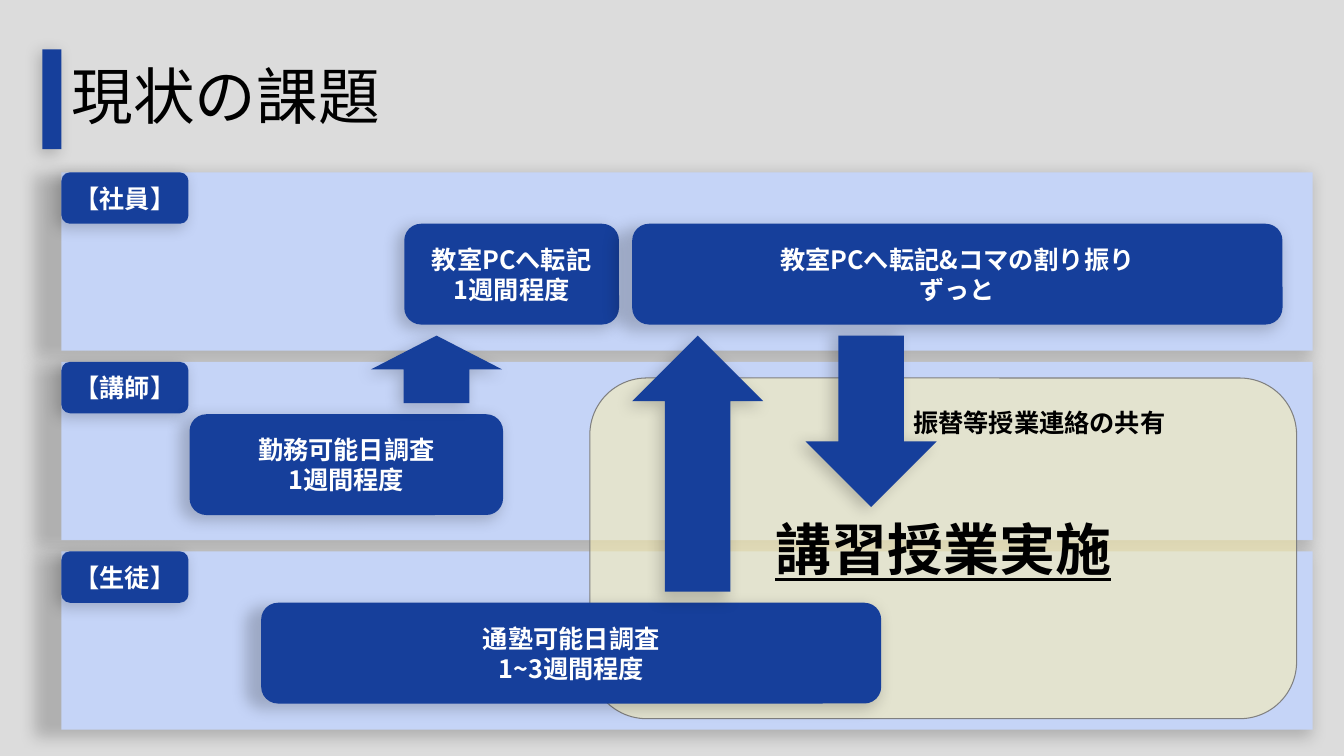
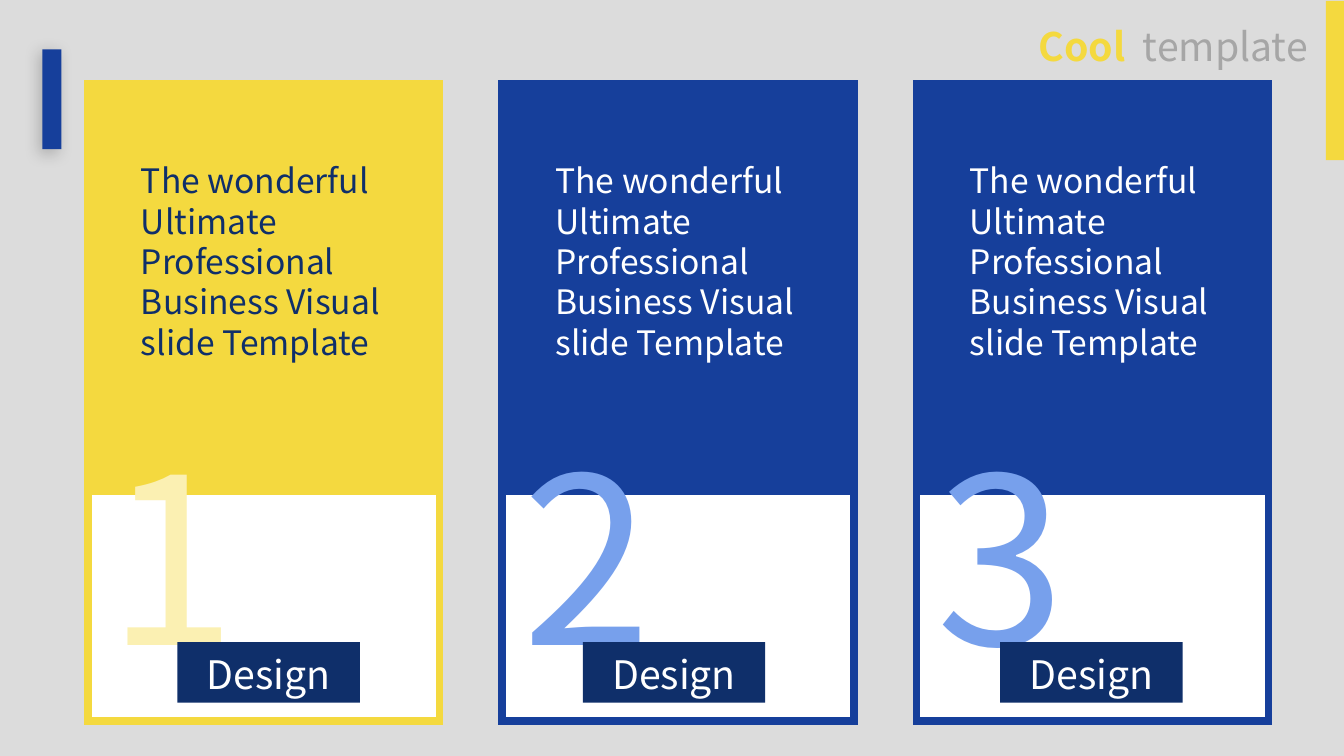
from dataclasses import dataclass

from lxml import etree
from pptx import Presentation
from pptx.dml.color import RGBColor
from pptx.enum.shapes import MSO_SHAPE
from pptx.enum.text import MSO_ANCHOR, MSO_AUTO_SIZE, PP_ALIGN
from pptx.oxml.ns import qn
from pptx.util import Inches, Pt

RECTANGLE = MSO_SHAPE.RECTANGLE
ROUNDED = MSO_SHAPE.ROUNDED_RECTANGLE
UP_ARROW = MSO_SHAPE.UP_ARROW
TOP, MIDDLE = MSO_ANCHOR.TOP, MSO_ANCHOR.MIDDLE
FIXED, GROW = MSO_AUTO_SIZE.NONE, MSO_AUTO_SIZE.SHAPE_TO_FIT_TEXT
LEFT, CENTER, RIGHT = PP_ALIGN.LEFT, PP_ALIGN.CENTER, PP_ALIGN.RIGHT
TITLE_ONLY, BLANK = 5, 6


@dataclass(frozen=True)
class Theme:
    font: str = "Noto Sans CJK JP"
    background: str = "DCDCDC"
    blue: str = "163F9B"
    navy: str = "0F2F6A"
    light_blue: str = "77A0EC"
    lane: str = "C5D4F7"
    yellow: str = "F4D93F"
    cream: str = "FBF0B2"
    white: str = "FFFFFF"
    black: str = "000000"
    outline: str = "808080"
    gray: str = "A6A6A6"
    title_size: int = 44
    headline_size: int = 40
    label_size: int = 18
    body_size: int = 24
    caption_size: int = 28
    number_size: int = 166


THEME = Theme()

LANE_LEFT, LANE_TOP, LANE_PITCH = 0.61, 1.71, 1.88
LANES = ["【社員】", "【講師】", "【生徒】"]
STEPS = [
    ((4.01, 2.22, 2.13, 1), ["教室PCへ転記", "1週間程度"]),
    ((6.27, 2.22, 6.45, 1), ["教室PCへ転記&コマの割り振り", "ずっと"]),
    ((1.88, 4.11, 3.11, 1), ["勤務可能日調査", "1週間程度"]),
    ((2.59, 5.98, 6.15, 1), ["通塾可能日調査", "1~3週間程度"]),
]
ARROWS = [
    ((6.27, 3.33, 1.3, 2.54), 0),
    ((3.68, 3.33, 1.3, 0.67), 0),
    ((7.99, 3.33, 1.3, 1.7), 180),
]

CARD_LEFT, CARD_PITCH, CARD_WIDTH = 0.87, 4.11, 3.49
CARD_TEXT = "The wonderful Ultimate Professional Business Visual slide Template"
# Main colour, number colour, text colour, left edge of the caption
CARDS = [
    (THEME.yellow, THEME.cream, THEME.navy, 1.76),
    (THEME.blue, THEME.light_blue, THEME.white, 5.78),
    (THEME.blue, THEME.light_blue, THEME.white, 9.92),
]


def rgb(value):
    return RGBColor.from_string(value)


def inches(values):
    return [Inches(value) for value in values]


def add_shadow(shape):
    """Cast a soft shadow, slightly enlarged, to the lower left."""
    effects = shape.element.spPr.find(qn("a:effectLst"))
    shadow = etree.SubElement(effects, qn("a:outerShdw"))
    values = {"blurRad": Pt(11), "dist": Pt(3), "dir": 135 * 60000,
              "sx": 102000, "sy": 102000, "algn": "tr", "rotWithShape": 0}
    for name, value in values.items():
        shadow.set(name, str(value))
    color = etree.SubElement(shadow, qn("a:srgbClr"), val=THEME.black)
    etree.SubElement(color, qn("a:alpha"), val="20000")


def add_block(slide, kind, at, fill, line=None, line_width=0.75,
              shadow=False, opacity=100):
    shape = slide.shapes.add_shape(kind, *inches(at))
    shape.shadow.inherit = False
    shape.fill.solid()
    shape.fill.fore_color.rgb = rgb(fill)
    if opacity < 100:
        color = shape.element.spPr.find(qn("a:solidFill"))[0]
        etree.SubElement(color, qn("a:alpha"), val=str(opacity * 1000))
    if line:
        shape.line.color.rgb = rgb(line)
        shape.line.width = Pt(line_width)
        outline = shape.element.spPr.find(qn("a:ln"))
        etree.SubElement(outline, qn("a:miter"), lim="800000")
    else:
        shape.line.fill.background()
    if shadow:
        add_shadow(shape)
    return shape


def format_run(run, size, color, **font_values):
    values = {"size": Pt(size), "name": THEME.font, "bold": False}
    for name, value in {**values, **font_values}.items():
        setattr(run.font, name, value)
    run.font.color.rgb = rgb(color)


def write_text(shape, paragraphs, size, color, align=LEFT, anchor=TOP,
               wrap=True, auto_size=FIXED, **font_values):
    """Fill a shape; each paragraph is a text or a list of (text, format) runs."""
    frame = shape.text_frame
    frame_values = {"word_wrap": wrap, "auto_size": auto_size,
                    "vertical_anchor": anchor}
    for name, value in frame_values.items():
        setattr(frame, name, value)
    for index, content in enumerate(paragraphs):
        para = frame.add_paragraph() if index else frame.paragraphs[0]
        para.alignment = align
        spans = [(content, {})] if isinstance(content, str) else content
        for text, span_values in spans:
            run = para.add_run()
            run.text = text
            format_run(run, **{"size": size, "color": color,
                               **font_values, **span_values})
    for latin in list(shape.element.iter(qn("a:latin"))):
        latin.addnext(etree.Element(qn("a:ea"), typeface=THEME.font))


def add_text(slide, at, paragraphs, size, color, **text_values):
    box = slide.shapes.add_textbox(*inches(at))
    write_text(box, paragraphs, size, color, auto_size=GROW, **text_values)
    return box


def add_label(slide, at, lines):
    label = add_block(slide, ROUNDED, at, THEME.blue, shadow=True)
    write_text(label, lines, THEME.label_size, THEME.white,
               align=CENTER, anchor=MIDDLE, bold=True)


def set_title(slide, text):
    title = slide.shapes.title
    title.left, title.top, title.width, title.height = inches(
        (0.61, 0.55, 10, 0.87))
    write_text(title, [text], THEME.title_size, THEME.black, anchor=MIDDLE)
    title.text_frame.paragraphs[0].line_spacing = 0.9


def style_master(deck, slide):
    """Give the master its background and the blue bar beside the title."""
    master = deck.slide_master
    master.background.fill.solid()
    master.background.fill.fore_color.rgb = rgb(THEME.background)
    bar = add_block(slide, RECTANGLE, (0.42, 0.49, 0.19, 0.99), THEME.blue,
                    shadow=True)
    next(bar.element.iter(qn("p:cNvPr"))).set("id", "100")
    master.shapes.element.insert(2, bar.element)


def build_issues(slide):
    tops = [LANE_TOP + LANE_PITCH * index for index in range(len(LANES))]
    for top in tops:
        add_block(slide, RECTANGLE, (LANE_LEFT, top, 12.41, 1.77), THEME.lane,
                  shadow=True)
    set_title(slide, "現状の課題")
    for top, name in zip(tops, LANES):
        add_label(slide, (LANE_LEFT, top, 1.26, 0.51), [name])
    lesson = add_block(slide, ROUNDED, (5.85, 3.75, 7.01, 3.38), THEME.cream,
                       line=THEME.outline, opacity=57)
    write_text(lesson, ["講習授業実施"], THEME.headline_size, THEME.black,
               align=CENTER, anchor=MIDDLE, bold=True, underline=True)
    for at, lines in STEPS:
        add_label(slide, at, lines)
    for at, rotation in ARROWS:
        arrow = add_block(slide, UP_ARROW, at, THEME.blue, shadow=True)
        arrow.rotation = rotation
    add_text(slide, (8.96, 3.99, 2.73, 0.4), ["振替等授業連絡の共有"],
             THEME.label_size, THEME.black, wrap=False, bold=True)


def add_card(slide, number, left, main, number_color, text_color, caption_left):
    for top, height, fill in ((0.83, 4.02, main), (4.87, 2.28, THEME.white)):
        add_block(slide, RECTANGLE, (left, top, CARD_WIDTH, height), fill,
                  line=main, line_width=5.5)
    add_text(slide, (left + 0.1, 4.05, 1.65, 2.89), [str(number)],
             THEME.number_size, number_color, wrap=False)
    add_text(slide, (left + 0.43, 1.54, 2.64, 2.52), [CARD_TEXT],
             THEME.body_size, text_color)
    caption = add_block(slide, RECTANGLE, (caption_left, 6.37, 1.81, 0.6),
                        THEME.navy)
    caption.text_frame.margin_top = Inches(0.08)
    write_text(caption, ["Design"], THEME.caption_size, THEME.white,
               align=CENTER, auto_size=GROW)


def build_cards(slide):
    for index, card in enumerate(CARDS):
        add_card(slide, index + 1, CARD_LEFT + CARD_PITCH * index, *card)
    add_block(slide, RECTANGLE, (13.15, 0.01, 0.18, 1.58), THEME.yellow)
    heading = [("Cool", {"color": THEME.yellow, "bold": True}),
               (" ", {}), ("template", {})]
    box = add_text(slide, (10.01, 0.17, 3.06, 0.57), [heading],
                   THEME.caption_size, THEME.gray, align=RIGHT, wrap=False)
    gap = list(box.element.iter(qn("a:rPr")))[1]
    gap.set("spc", "600")


def main():
    deck = Presentation()
    deck.slide_width, deck.slide_height = Inches(13.33), Inches(7.5)
    issues, cards = (deck.slides.add_slide(deck.slide_layouts[index])
                     for index in (TITLE_ONLY, BLANK))
    style_master(deck, issues)
    build_issues(issues)
    build_cards(cards)
    deck.save("out.pptx")


if __name__ == "__main__":
    main()
